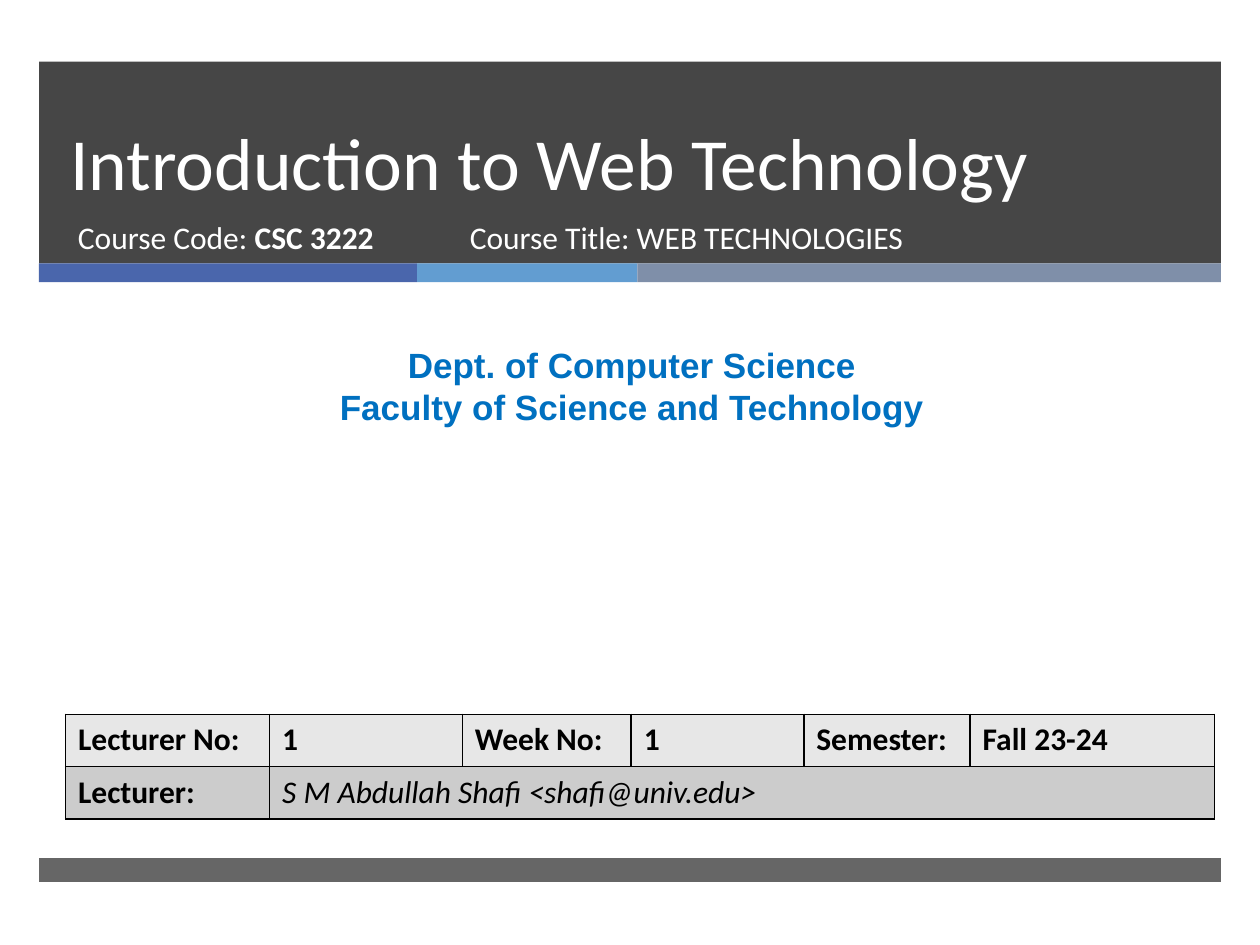
from lxml import etree
from pptx import Presentation
from pptx.dml.color import RGBColor
from pptx.enum.shapes import MSO_SHAPE
from pptx.enum.text import MSO_ANCHOR, PP_ALIGN
from pptx.oxml.ns import qn
from pptx.util import Inches, Pt

RECTANGLE = MSO_SHAPE.RECTANGLE
TOP, BOTTOM = MSO_ANCHOR.TOP, MSO_ANCHOR.BOTTOM
LEFT, CENTER = PP_ALIGN.LEFT, PP_ALIGN.CENTER

BLACK = RGBColor(0x00, 0x00, 0x00)
WHITE = RGBColor(0xFF, 0xFF, 0xFF)
CHARCOAL = RGBColor(0x26, 0x26, 0x26)
INDIGO = RGBColor(0x4A, 0x66, 0xAC)
SKY = RGBColor(0x62, 0x9D, 0xD1)
SLATE = RGBColor(0x7F, 0x8F, 0xA9)
DEPARTMENT_BLUE = RGBColor(0x00, 0x70, 0xC0)
LIGHT_GRAY = RGBColor(0xE7, 0xE7, 0xE7)
MID_GRAY = RGBColor(0xCC, 0xCC, 0xCC)


class SlideBuilder:
    font_name = "Calibri"
    body_size = Pt(18)
    border_width = Pt(1)

    def __init__(self, slide):
        self.slide = slide

    def bar(self, left, top, width, height, color, opacity=100):
        bar = self.slide.shapes.add_shape(
            RECTANGLE, Inches(left), Inches(top), Inches(width), Inches(height))
        bar.shadow.inherit = False
        bar.line.fill.background()
        bar.fill.solid()
        bar.fill.fore_color.rgb = color
        if opacity < 100:
            tint = bar._element.spPr.find(qn("a:solidFill"))[0]
            etree.SubElement(tint, qn("a:alpha"), val=str(opacity * 1000))

    def run(self, paragraph, text, color, **formats):
        run = paragraph.add_run()
        run.text = text
        run.font.color.rgb = color
        values = {"name": self.font_name, "size": self.body_size, **formats}
        for attribute, value in values.items():
            setattr(run.font, attribute, value)

    def text(self, left, top, width, height, lines, color,
             anchor=TOP, align=LEFT, spacing=None, **formats):
        frame = self.slide.shapes.add_textbox(
            Inches(left), Inches(top), Inches(width), Inches(height)).text_frame
        frame.word_wrap = True
        frame.vertical_anchor = anchor
        for index, line in enumerate(lines):
            paragraph = frame.add_paragraph() if index else frame.paragraphs[0]
            paragraph.alignment = align
            paragraph.line_spacing = spacing
            for text, extra in line:
                self.run(paragraph, text, color, **{**formats, **extra})

    def border(self, cell):
        properties = cell._tc.get_or_add_tcPr()
        for index, side in enumerate(("lnL", "lnR", "lnT", "lnB")):
            edge = etree.Element(qn(f"a:{side}"), w=str(self.border_width))
            fill = etree.SubElement(edge, qn("a:solidFill"))
            etree.SubElement(fill, qn("a:srgbClr"), val=str(BLACK))
            properties.insert(index, edge)

    def table(self, left, top, widths, row_height, rows, fills):
        table = self.slide.shapes.add_table(
            len(rows), len(widths), Inches(left), Inches(top),
            Inches(sum(widths)), Inches(row_height * len(rows))).table
        for column, width in zip(table.columns, widths):
            column.width = Inches(width)
        for r, (row, fill) in enumerate(zip(rows, fills)):
            table.rows[r].height = Inches(row_height)
            for c in range(len(widths)):
                cell = table.cell(r, c)
                cell.fill.solid()
                cell.fill.fore_color.rgb = fill
                self.border(cell)
                if c < len(row):
                    text, formats = row[c]
                    self.run(cell.text_frame.paragraphs[0], text, BLACK, **formats)
            if len(row) < len(widths):
                table.cell(r, len(row) - 1).merge(table.cell(r, len(widths) - 1))


def main():
    deck = Presentation()
    deck.slide_width, deck.slide_height = Inches(10), Inches(7.5)
    builder = SlideBuilder(deck.slides.add_slide(deck.slide_layouts[6]))

    margin, banner_width = 0.31, 9.38
    builder.bar(margin, 0.49, banner_width, 1.6, CHARCOAL, 85)
    stripe_left = margin
    for width, color in ((3, INDIGO), (1.75, SKY), (4.63, SLATE)):
        builder.bar(stripe_left, 2.09, width, 0.15, color)
        stripe_left += width
    builder.bar(margin, 6.81, banner_width, 0.19, CHARCOAL, 70)

    builder.text(0.46, 0.49, 8.54, 1.19, [[("Introduction to Web Technology", {})]],
                 WHITE, anchor=BOTTOM, spacing=Pt(46), size=Pt(42))
    course_code = [("Course Code: ", {}), ("CSC 3222", {"bold": True})]
    builder.text(0.52, 1.68, 3.05, 0.53, [course_code], WHITE)
    builder.text(3.63, 1.68, 4.55, 0.53,
                 [[("Course Title: WEB TECHNOLOGIES", {})]], WHITE)
    department = ("Dept. of Computer Science", "Faculty of Science and Technology")
    builder.text(0.08, 2.68, 9.87, 0.77, [[(line, {})] for line in department],
                 DEPARTMENT_BLUE, align=CENTER, name="Arial", size=Pt(20), bold=True)

    strong, slanted = {"bold": True}, {"bold": False, "italic": True}
    session = ("Lecturer No:", "1", "Week No:", "1", "Semester:", "Fall 23-24")
    lecturer = [("Lecturer:", strong),
                ("S M Abdullah Shafi <shafi@univ.edu>", slanted)]
    builder.table(0.52, 5.67, (1.62, 1.53, 1.34, 1.37, 1.32, 1.94), 0.415,
                  [[(text, strong) for text in session], lecturer],
                  (LIGHT_GRAY, MID_GRAY))

    deck.save("out.pptx")


if __name__ == "__main__":
    main()
